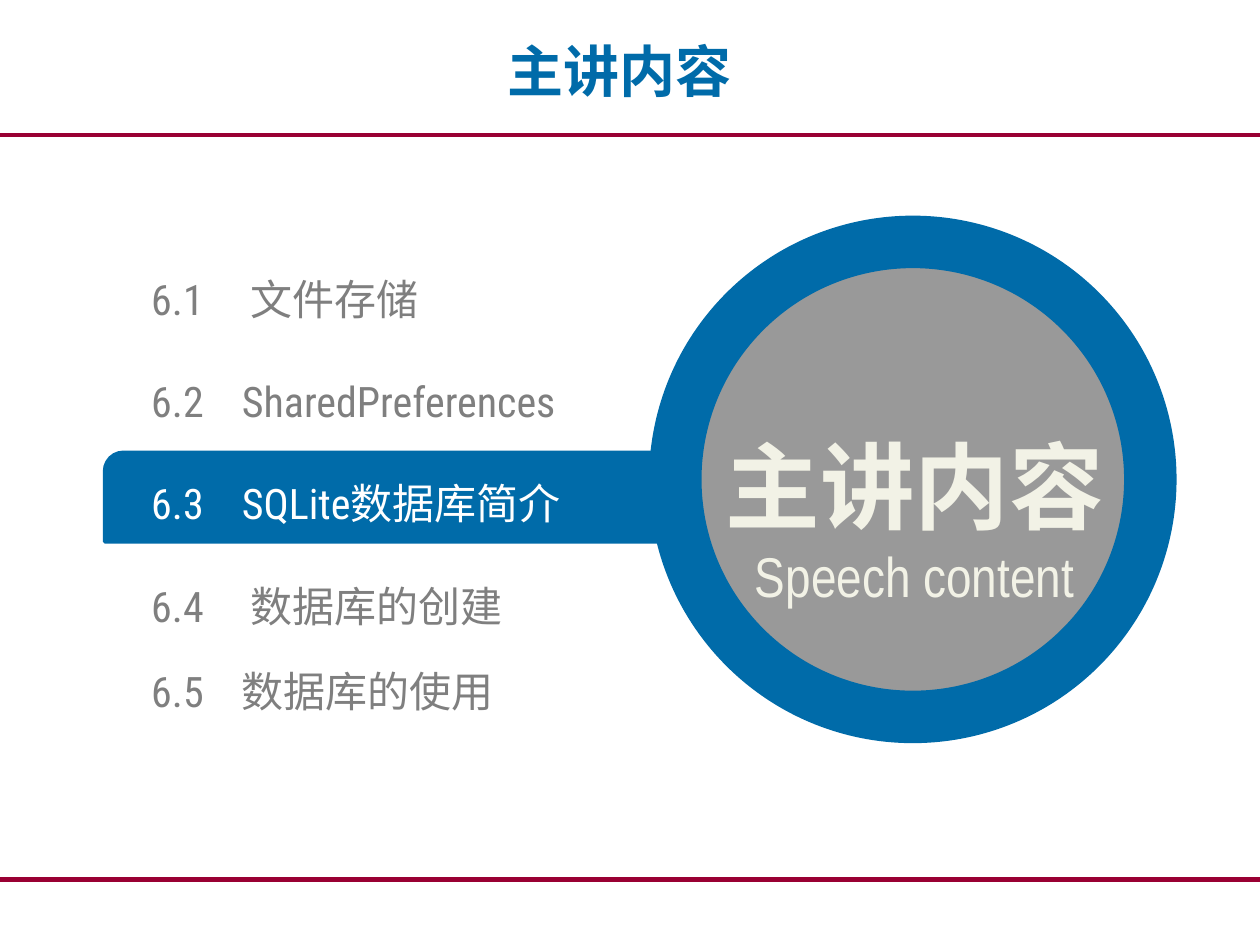
from lxml import etree
from pptx import Presentation
from pptx.dml.color import RGBColor
from pptx.enum.shapes import MSO_CONNECTOR, MSO_SHAPE
from pptx.enum.text import MSO_ANCHOR, PP_ALIGN
from pptx.oxml.ns import qn
from pptx.util import Inches, Pt

LINE = MSO_CONNECTOR.STRAIGHT
OVAL = MSO_SHAPE.OVAL
BAND = MSO_SHAPE.ROUND_2_DIAG_RECTANGLE
MIDDLE = MSO_ANCHOR.MIDDLE
LEFT, CENTER = PP_ALIGN.LEFT, PP_ALIGN.CENTER

BLUE = RGBColor(0x00, 0x6B, 0xA9)
RED = RGBColor(0x99, 0x00, 0x33)
GRAY = RGBColor(0x7F, 0x7F, 0x7F)
DISC = RGBColor(0x99, 0x99, 0x99)
CREAM = RGBColor(0xF2, 0xF2, 0xE6)
WHITE = RGBColor(0xFF, 0xFF, 0xFF)

HAN = "Noto Sans CJK SC"
TITLE = {"name": HAN, "size": Pt(32), "bold": True}
HEAD = {"name": HAN, "size": Pt(54), "bold": True}
SUB = {"name": "Arial Narrow", "size": Pt(32), "bold": False}
ITEM = {"name": "Roboto Condensed", "size": Pt(24), "bold": False}

# The slide is a grid of 100 columns by 75 rows.
COLS, ROWS = 100, 75
CELL = Inches(0.1)

# Number, topic, row below the list top, column where the topic starts
TOPICS = [
    ("6.1", "文件存储", 0, 7.9),
    ("6.2", "SharedPreferences", 8.1, 7.2),
    ("6.3", "SQLite数据库简介", 16.2, 7.2),
    ("6.4", "数据库的创建", 24.4, 7.9),
    ("6.5", "数据库的使用", 31.1, 7.2),
]
ACTIVE = "6.3"


def grid(*cells):
    return [int(cell * CELL) for cell in cells]


def add_text(slide, box, margin=None):
    """Add an empty, wrapped, vertically centred text frame."""
    frame = slide.shapes.add_textbox(*grid(*box)).text_frame
    frame.word_wrap = True
    frame.vertical_anchor = MIDDLE
    if margin is not None:
        for side in ("left", "top", "right", "bottom"):
            setattr(frame, f"margin_{side}", margin)
    return frame


def write(para, text, style, color, align=LEFT):
    para.alignment = align
    run = para.add_run()
    run.text = text
    for key, value in style.items():
        setattr(run.font, key, value)
    run.font.color.rgb = color
    east = etree.SubElement(run.font._element, qn("a:ea"))
    east.set("typeface", HAN)


def set_tab(para, col):
    props = para._p.get_or_add_pPr()
    tabs = etree.SubElement(props, qn("a:tabLst"))
    etree.SubElement(tabs, qn("a:tab"), pos=str(int(col * CELL)), algn="l")


def add_shape(slide, kind, box, fill, width):
    shape = slide.shapes.add_shape(kind, *grid(*box))
    shape.shadow.inherit = False
    shape.fill.solid()
    shape.fill.fore_color.rgb = fill
    shape.line.color.rgb = BLUE
    shape.line.width = Pt(width)
    return shape


def add_rule(slide, row, width):
    rule = slide.shapes.add_connector(LINE, *grid(0, row, COLS, row))
    rule.line.color.rgb = RED
    rule.line.width = Pt(width)
    etree.SubElement(rule._element.spPr, qn("a:effectLst"))


def add_title(slide, box):
    frame = add_text(slide, box)
    write(frame.paragraphs[0], "主讲内容", TITLE, BLUE, CENTER)


def add_band(slide, box):
    band = add_shape(slide, BAND, box, BLUE, 2)
    band.adjustments[0] = 0.21


def add_list(slide, box):
    left, top, width, height = box
    for number, topic, row, col in TOPICS:
        frame = add_text(slide, (left, top + row, width, height), 0)
        para = frame.paragraphs[0]
        set_tab(para, col)
        color = WHITE if number == ACTIVE else GRAY
        write(para, f"{number}\t{topic}", ITEM, color)


def add_badge(slide, box):
    left, top, width, height = box
    add_shape(slide, OVAL, box, DISC, 30)
    label = (left - 0.5, top + 9.7, width + 1.3, height - 17.8)
    frame = add_text(slide, label)
    head = frame.paragraphs[0]
    head.line_spacing = 1.5
    write(head, "主讲内容", HEAD, CREAM, CENTER)
    write(frame.add_paragraph(), "Speech content", SUB, CREAM, CENTER)


def main():
    deck = Presentation()
    deck.slide_width, deck.slide_height = grid(COLS, ROWS)
    slide = deck.slides.add_slide(deck.slide_layouts[6])
    add_rule(slide, 69.8, 3)
    add_rule(slide, 10.7, 2)
    add_title(slide, (4.2, 0.6, 90, 9.9))
    add_band(slide, (8.3, 35.9, 53.5, 7.1))
    add_list(slide, (12, 21.7, 41.9, 4))
    add_badge(slide, (53.6, 19.2, 37.7, 37.7))
    deck.save("out.pptx")


if __name__ == "__main__":
    main()
